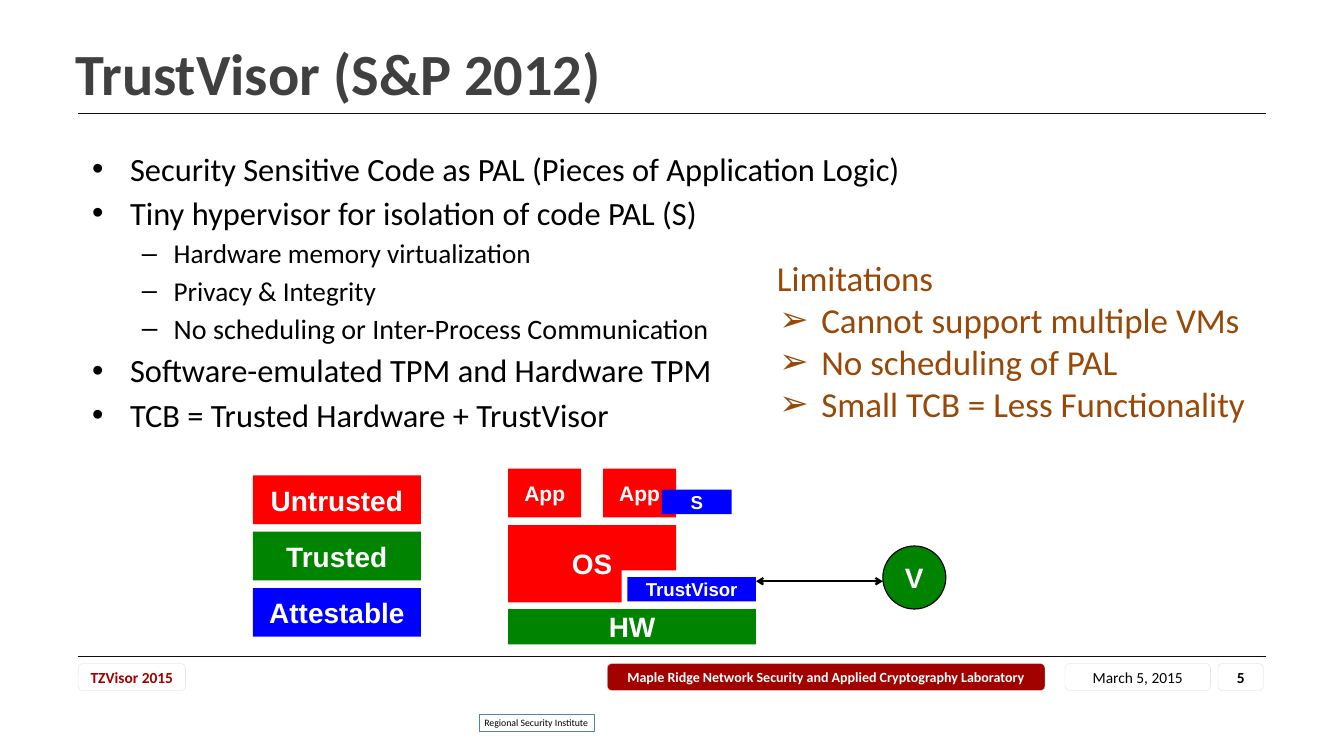
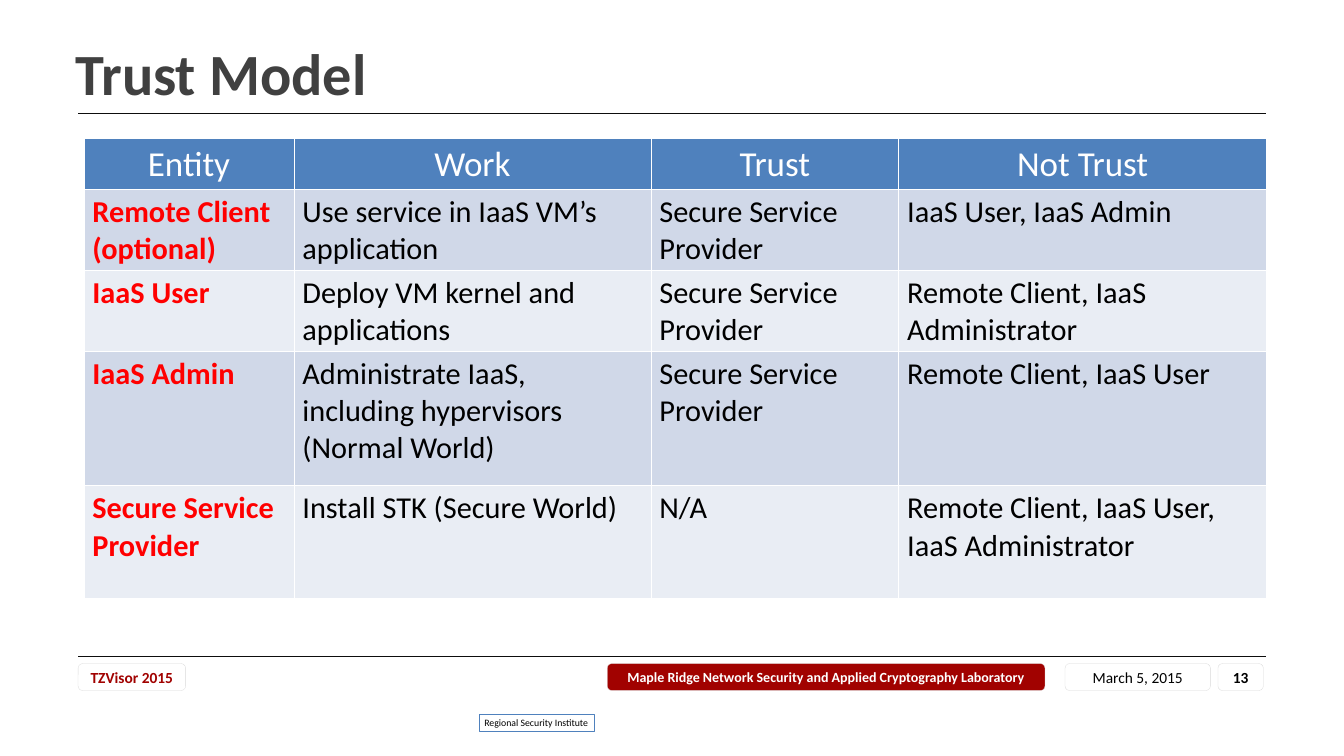
from lxml import etree
from pptx import Presentation
from pptx import util as u
from pptx.dml.color import RGBColor
from pptx.enum import shapes, text
from pptx.oxml import parse_xml
from pptx.oxml.ns import qn

COLS, ROWS = 16, 9
COLORS = dict(
    white="FFFFFF", black="000000", rule="0D0D0D", edge="D9D9D9", title="404040",
    brand="A10200", header="4F81BD", band="D0D8E8", pale="E9EDF4", brown="984807",
    red="FF0000", green="008400", blue="0000FF")
SHAPE = shapes.MSO_SHAPE
LEFT, CENTER = text.PP_ALIGN.LEFT, text.PP_ALIGN.CENTER
TOP, MIDDLE = text.MSO_ANCHOR.TOP, text.MSO_ANCHOR.MIDDLE
A_NS = "http://schemas.openxmlformats.org/drawingml/2006/main"


def rgb(name):
    return RGBColor.from_string(COLORS[name])


def paint(fill, color):
    if color:
        fill.solid()
        fill.fore_color.rgb = rgb(color)
    else:
        fill.background()


class Deck:
    """Holds the style and the slide being built; lengths are grid columns and rows."""

    def __init__(self):
        self.prs = Presentation()
        self.prs.slide_width, self.prs.slide_height = u.Inches(16), u.Inches(9)
        self.s = None

    def x(self, cols):
        return round(self.prs.slide_width * cols / COLS)

    def y(self, rows):
        return round(self.prs.slide_height * rows / ROWS)

    def area(self, at):
        left, top, width, height = at
        return self.x(left), self.y(top), self.x(width), self.y(height)

    def add_text(self, p, words, size, color="black", align=LEFT, font="Calibri", bold=False):
        p.alignment = align
        r = p.add_run()
        r.text = words
        for key, value in dict(size=u.Pt(size), name=font, bold=bold).items():
            setattr(r.font, key, value)
        r.font.color.rgb = rgb(color)

    def indent(self, p, margin, hang=0, bullet=None):
        pPr = p._p.get_or_add_pPr()
        pPr.set("marL", str(self.x(margin)))
        pPr.set("indent", str(-self.x(hang)))
        if bullet:
            etree.SubElement(pPr, qn("a:buFont")).set("typeface", "Arial")
            etree.SubElement(pPr, qn("a:buChar")).set("char", bullet)

    def frame(self, at, anchor=TOP):
        tf = self.s.shapes.add_textbox(*self.area(at)).text_frame
        tf.word_wrap, tf.vertical_anchor = True, anchor
        return tf

    def box(self, at, words, size, fill=None, line=None, weight=0.25,
            kind=SHAPE.RECTANGLE, color="white", font="Arial", bold=True):
        sp = self.s.shapes.add_shape(kind, *self.area(at))
        sp.shadow.inherit = False
        paint(sp.fill, fill)
        paint(sp.line.fill, line)
        if line:
            sp.line.width = u.Pt(weight)
        tf = sp.text_frame
        margins = dict.fromkeys(
            ("margin_left", "margin_right", "margin_top", "margin_bottom"), 0)
        for key, value in dict(margins, word_wrap=False, vertical_anchor=MIDDLE).items():
            setattr(tf, key, value)
        if words:
            self.add_text(tf.paragraphs[0], words, size, color, CENTER, font, bold)

    def line(self, start, end, color, weight, arrows=False):
        c = self.s.shapes.add_connector(
            shapes.MSO_CONNECTOR.STRAIGHT, self.x(start[0]), self.y(start[1]),
            self.x(end[0]), self.y(end[1]))
        c.line.color.rgb, c.line.width = rgb(color), u.Pt(weight)
        spPr = c._element.spPr
        if arrows:
            for end_tag in ("a:headEnd", "a:tailEnd"):
                etree.SubElement(spPr.find(qn("a:ln")), qn(end_tag)).set("type", "arrow")
        etree.SubElement(spPr, qn("a:effectLst"))

    def slide(self, title, number):
        """Starts a slide with the shared title, rules and footer."""
        self.s = self.prs.slides.add_slide(self.prs.slide_layouts[6])
        for row in (1.35, 7.82):
            self.line((0.93, row), (15.07, row), "rule", 0.75)
        footer = [
            (0.93, 1.28, "TZVisor 2015", 13.2, None, "brand", True),
            (7.23, 5.21, "Maple Ridge Network Security and Applied Cryptography Laboratory",
             12, "brand", "white", True),
            (12.68, 1.73, "March 5, 2015", 13.2, None, "black", False),
            (14.5, 0.54, str(number), 13.2, None, "black", True)]
        for left, width, words, size, fill, color, bold in footer:
            self.box((left, 7.9, width, 0.32), words, size, fill, "edge",
                     kind=SHAPE.ROUNDED_RECTANGLE, color=color, font="Calibri", bold=bold)
        self.box((5.7, 8.5, 1.37, 0.21), "Regional Security Institute", 8.4, "white",
                 "header", color="black", font="Calibri", bold=False)
        tf = self.frame((0.8, 0.24, 14.27, 1.24), MIDDLE)
        self.add_text(tf.paragraphs[0], title, 50, "title", bold=True)

    def bullets(self, at, items, color="black", spacing=0):
        """Items are (text, size, margin, hang, bullet); spacing is a share of the size."""
        tf = self.frame(at)
        for i, (words, size, *layout) in enumerate(items):
            p = tf.add_paragraph() if i else tf.paragraphs[0]
            p.space_before = u.Pt(round(size * spacing, 1))
            self.indent(p, *layout)
            self.add_text(p, words, size, color)

    def cell(self, cell, words, fill, **style):
        tcPr = cell._tc.get_or_add_tcPr()
        for side in "LRTB":
            tcPr.append(parse_xml(
                f'<a:ln{side} xmlns:a="{A_NS}" w="12700"><a:solidFill>'
                f'<a:srgbClr val="{COLORS["white"]}"/></a:solidFill></a:ln{side}>'))
        paint(cell.fill, fill)
        self.add_text(cell.text_frame.paragraphs[0], words, **style)

    def table(self, at, widths, heights, rows):
        t = self.s.shapes.add_table(len(rows), len(widths), *self.area(at)).table
        for col, width in zip(t.columns, widths):
            col.width = self.x(width)
        for row, height in zip(t.rows, heights):
            row.height = self.y(height)
        for i, row in enumerate(rows):
            for j, words in enumerate(row):
                if i == 0:
                    fill, style = "header", dict(size=30, color="white", align=CENTER)
                else:
                    fill = "band" if i % 2 else "pale"
                    style = dict(size=26, color="black" if j else "red", bold=j == 0)
                self.cell(t.cell(i, j), words, fill, **style)


def trustvisor_slide(d):
    d.slide("TrustVisor (S&P 2012)", 5)
    main_level, sub_level = (0.45, 0.45, "•"), (0.97, 0.38, "–")
    d.bullets((1, 1.72, 10.26, 3.78), [
        ("Security Sensitive Code as PAL (Pieces of Application Logic)", 27.8, *main_level),
        ("Tiny hypervisor for isolation of code PAL (S)", 27.8, *main_level),
        ("Hardware memory virtualization", 23.3, *sub_level),
        ("Privacy & Integrity", 23.3, *sub_level),
        ("No scheduling or Inter-Process Communication", 24.1, *sub_level),
        ("Software-emulated TPM and Hardware TPM", 27.8, *main_level),
        ("TCB = Trusted Hardware + TrustVisor", 27.8, *main_level)], spacing=0.17)

    legend = [("Untrusted", "red"), ("Trusted", "green"), ("Attestable", "blue")]
    for i, (words, fill) in enumerate(legend):
        d.box((3.01, 5.66 + 0.67 * i, 2, 0.58), words, 24, fill)

    d.box((6.05, 6.25, 2, 0.92), "OS", 24, "red")
    d.box((7.4, 6.79, 1.53, 0.46), "", 16, "white")
    d.box((6.05, 7.25, 2.95, 0.42), "HW", 24, "green")
    for left in (6.05, 7.18):
        d.box((left, 5.58, 0.87, 0.58), "App", 18, "red")
    d.box((7.47, 6.87, 1.53, 0.29), "TrustVisor", 16, "blue")
    d.box((7.88, 5.83, 0.83, 0.29), "S", 16, "blue")
    d.box((10.51, 6.5, 0.75, 0.75), "V", 24, "green", "black", 1, SHAPE.OVAL)
    d.line((10.51, 6.92), (9, 6.92), "black", 1.75, arrows=True)

    limits = ("Cannot support multiple VMs", "No scheduling of PAL",
              "Small TCB = Less Functionality")
    d.bullets((8.58, 3, 6.5, 2.12), [("Limitations", 30, 0.57)] + [
        (words, 30, 1.1, 0.5, "➢") for words in limits], "brown")


def trust_model_slide(d):
    d.slide("Trust Model", 13)
    provider = "Secure Service Provider"
    d.table((1, 1.65, 14.08, 5.34), (2.5, 4.25, 2.95, 4.38), (0.57, 0.92, 0.91, 1.6, 1.34), [
        ("Entity", "Work", "Trust", "Not Trust"),
        ("Remote Client (optional)", "Use service in IaaS VM’s application", provider,
         "IaaS User, IaaS Admin"),
        ("IaaS User", "Deploy VM kernel and applications", provider,
         "Remote Client, IaaS Administrator"),
        ("IaaS Admin", "Administrate IaaS, including hypervisors (Normal World)", provider,
         "Remote Client, IaaS User"),
        (provider, "Install STK (Secure World)", "N/A",
         "Remote Client, IaaS User, IaaS Administrator")])


def main():
    d = Deck()
    trustvisor_slide(d)
    trust_model_slide(d)
    d.prs.save("out.pptx")


if __name__ == "__main__":
    main()
